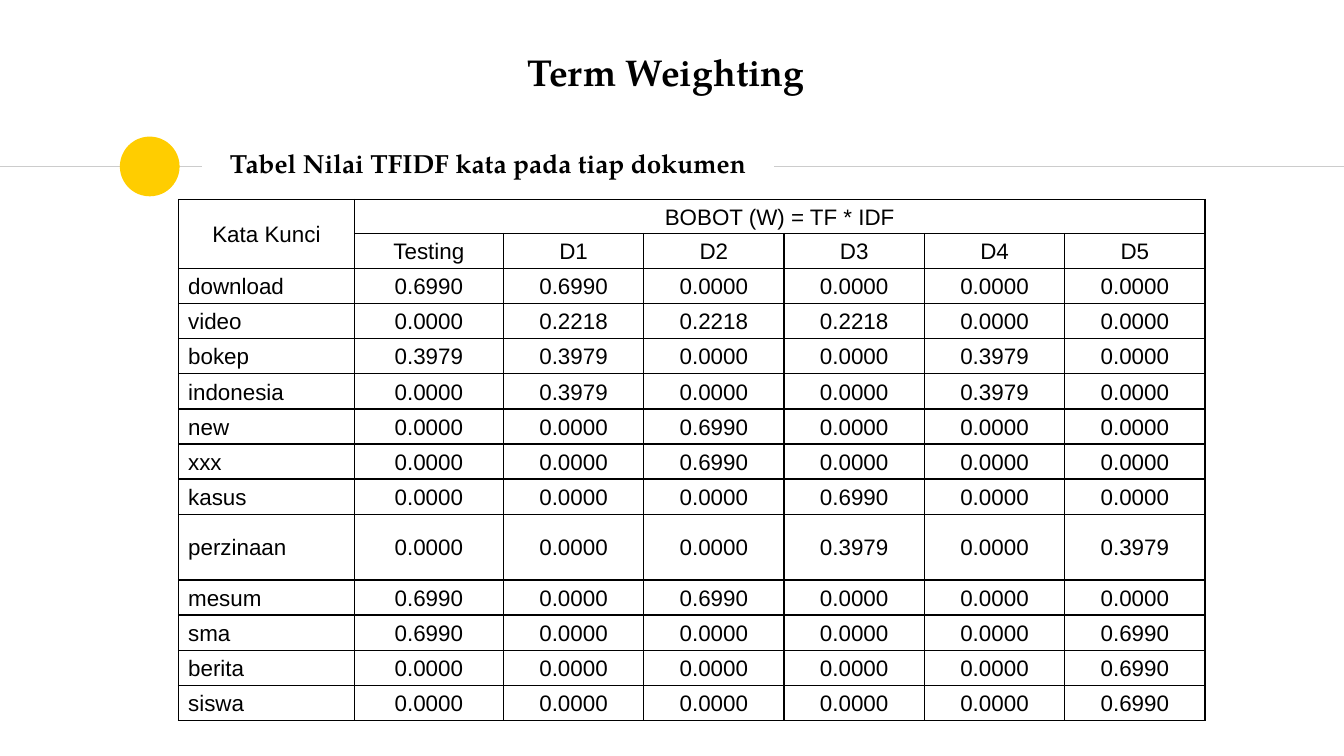
import lxml.etree
import pptx
import pptx.dml.color
import pptx.enum.shapes
import pptx.enum.text
import pptx.oxml
import pptx.oxml.ns
import pptx.util

Pt = pptx.util.Pt
ALIGN = pptx.enum.text.PP_ALIGN
SERIF = "TeX Gyre Pagella"
HEADS = ["Testing", "D1", "D2", "D3", "D4", "D5"]
WEIGHTS = {
    "download": "0.6990 0.6990 0.0000 0.0000 0.0000 0.0000",
    "video": "0.0000 0.2218 0.2218 0.2218 0.0000 0.0000",
    "bokep": "0.3979 0.3979 0.0000 0.0000 0.3979 0.0000",
    "indonesia": "0.0000 0.3979 0.0000 0.0000 0.3979 0.0000",
    "new": "0.0000 0.0000 0.6990 0.0000 0.0000 0.0000",
    "xxx": "0.0000 0.0000 0.6990 0.0000 0.0000 0.0000",
    "kasus": "0.0000 0.0000 0.0000 0.6990 0.0000 0.0000",
    "perzinaan": "0.0000 0.0000 0.0000 0.3979 0.0000 0.3979",
    "mesum": "0.6990 0.0000 0.6990 0.0000 0.0000 0.0000",
    "sma": "0.6990 0.0000 0.0000 0.0000 0.0000 0.6990",
    "berita": "0.0000 0.0000 0.0000 0.0000 0.0000 0.6990",
    "siswa": "0.0000 0.0000 0.0000 0.0000 0.0000 0.6990",
}


def paint(target, color):
    """Give a fill a solid colour."""
    target.solid()
    target.fore_color.rgb = pptx.dml.color.RGBColor.from_string(color)


def write(frame, text, font="Arial", size=12, bold=False, align=ALIGN.LEFT, space=1.0):
    """Put one formatted paragraph in a text frame."""
    para = frame.paragraphs[0]
    para.alignment = align
    para.line_spacing = space
    run = para.add_run()
    run.text = text
    run.font.name = font
    run.font.size = Pt(size)
    run.font.bold = bold
    paint(run.font.fill, "000000")


def label(shape, text, size, align=ALIGN.LEFT):
    """Format a heading box and write its text."""
    frame = shape.text_frame
    frame.word_wrap = True
    frame.auto_size = pptx.enum.text.MSO_AUTO_SIZE.NONE
    frame.vertical_anchor = pptx.enum.text.MSO_ANCHOR.MIDDLE
    frame.margin_left = frame.margin_right = Pt(7.2)
    frame.margin_top = frame.margin_bottom = Pt(7.2)
    write(frame, text, font=SERIF, size=size, bold=True, align=align)


def rule(slide, left, right, y):
    """Draw a thin grey horizontal line."""
    kind = pptx.enum.shapes.MSO_CONNECTOR.STRAIGHT
    line = slide.shapes.add_connector(kind, Pt(left), Pt(y), Pt(right), Pt(y))
    paint(line.line.fill, "CCCCCC")
    line.line.width = Pt(0.75)
    lxml.etree.SubElement(line.element.spPr, pptx.oxml.ns.qn("a:effectLst"))


def dot(slide, left, top, size):
    """Draw a yellow circle."""
    kind = pptx.enum.shapes.MSO_SHAPE.OVAL
    shape = slide.shapes.add_shape(kind, Pt(left), Pt(top), Pt(size), Pt(size))
    shape.shadow.inherit = False
    paint(shape.fill, "FFCD00")
    shape.line.fill.background()


def frame_cell(cell):
    """Set the borders, margins and clear fill of a cell."""
    props = cell._tc.get_or_add_tcPr()
    for side in "LRTB":
        props.append(pptx.oxml.parse_xml(
            f'<a:ln{side} {pptx.oxml.ns.nsdecls("a")} w="{Pt(0.75)}">'
            '<a:solidFill><a:srgbClr val="000000"/></a:solidFill>'
            f'</a:ln{side}>'))
    cell.fill.background()
    cell.margin_left = cell.margin_right = Pt(5.2)
    cell.margin_top = cell.margin_bottom = 0
    cell.vertical_anchor = pptx.enum.text.MSO_ANCHOR.MIDDLE


def grid(slide, left, top, widths, heights, rows):
    """Build the table of weights with its two merged heads."""
    shape = slide.shapes.add_table(
        len(rows), len(widths), Pt(left), Pt(top), Pt(sum(widths)), Pt(sum(heights)))
    table = shape.table
    table.first_row = table.horz_banding = False
    for col, width in zip(table.columns, widths):
        col.width = Pt(width)
    for row, height in zip(table.rows, heights):
        row.height = Pt(height)
    for r, row in enumerate(rows):
        for c, text in enumerate(row):
            cell = table.cell(r, c)
            frame_cell(cell)
            align = ALIGN.LEFT if c == 0 and r > 1 else ALIGN.CENTER
            write(cell.text_frame, text, align=align, space=1.07)
    table.cell(0, 0).merge(table.cell(1, 0))
    table.cell(0, 1).merge(table.cell(0, len(widths) - 1))


def main():
    """Build and save the slide."""
    deck = pptx.Presentation()
    deck.slide_width, deck.slide_height = Pt(720), Pt(405)
    slide = deck.slides.add_slide(deck.slide_layouts[5])
    rule(slide, 0, 108, 89.2)
    dot(slide, 64.2, 73.2, 32)
    rule(slide, 414.7, 720, 89.2)

    title = slide.shapes.title
    title.left, title.top, title.width, title.height = Pt(116), Pt(70), Pt(342), Pt(34.5)
    label(title, "Tabel Nilai TFIDF kata pada tiap dokumen", 14)

    rows = [["Kata Kunci", "BOBOT (W) = TF * IDF"] + [""] * 5, [""] + HEADS]
    rows += [[word] + values.split() for word, values in WEIGHTS.items()]
    heights = [35.3 if row[0] == "perzinaan" else 18.8 for row in rows]
    heights[0] = 18.2
    grid(slide, 95.6, 106.9, [94.3, 79.8] + [75.2] * 5, heights, rows)

    box = slide.shapes.add_textbox(Pt(275.6), Pt(21), Pt(191), Pt(34.5))
    label(box, "Term Weighting", 20)
    deck.save("out.pptx")


if __name__ == "__main__":
    main()
